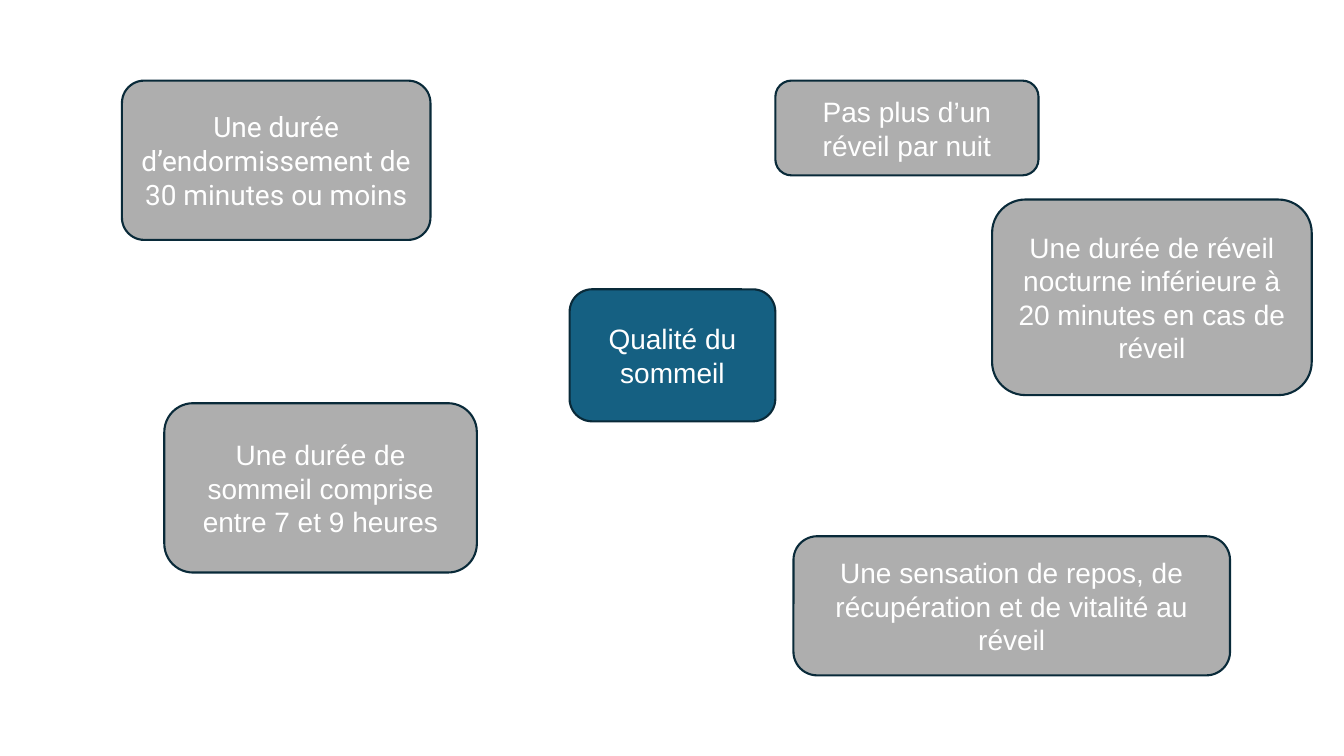
import dataclasses

import pptx
import pptx.dml.color
import pptx.enum.shapes
import pptx.enum.text
import pptx.slide
import pptx.util

EMU_PER_PX = 9144
WHITE = pptx.dml.color.RGBColor(0xFF, 0xFF, 0xFF)
BLUE = pptx.dml.color.RGBColor(0x15, 0x60, 0x82)
GREY = pptx.dml.color.RGBColor(0xAE, 0xAE, 0xAE)
NAVY = pptx.dml.color.RGBColor(0x09, 0x2A, 0x39)


@dataclasses.dataclass(frozen=True)
class Bubble:
    text: str
    left: int
    top: int
    width: int
    height: int
    fill: pptx.dml.color.RGBColor = GREY
    font: str = "Arial"
    corner: float = 0.17


BUBBLES = [
    Bubble("Qualité du sommeil", 565, 287, 204, 131, fill=BLUE),
    Bubble("Une durée d’endormissement de 30 minutes ou moins",
           121, 80, 306, 158, font="Roboto", corner=0.14),
    Bubble("Une durée de sommeil comprise entre 7 et 9 heures",
           163, 400, 310, 168),
    Bubble("Pas plus d’un réveil par nuit", 769, 80, 261, 94),
    Bubble("Une durée de réveil nocturne inférieure à 20 minutes en cas de réveil",
           984, 198, 317, 194),
    Bubble("Une sensation de repos, de récupération et de vitalité au réveil",
           787, 532, 433, 138),
]


def px(n: int) -> pptx.util.Emu:
    return pptx.util.Emu(n * EMU_PER_PX)


def draw_bubble(slide: pptx.slide.Slide, bubble: Bubble) -> None:
    sp = slide.shapes.add_shape(
        pptx.enum.shapes.MSO_SHAPE.ROUNDED_RECTANGLE,
        px(bubble.left), px(bubble.top), px(bubble.width), px(bubble.height))
    sp.adjustments[0] = bubble.corner
    sp.shadow.inherit = False
    sp.fill.solid()
    sp.fill.fore_color.rgb = bubble.fill
    sp.line.color.rgb = NAVY
    sp.line.width = pptx.util.Pt(1.5)
    tf = sp.text_frame
    tf.word_wrap = True
    tf.vertical_anchor = pptx.enum.text.MSO_ANCHOR.MIDDLE
    p = tf.paragraphs[0]
    p.alignment = pptx.enum.text.PP_ALIGN.CENTER
    r = p.add_run()
    r.text = bubble.text
    r.font.color.rgb = WHITE
    for name, value in {"name": bubble.font, "size": pptx.util.Pt(20)}.items():
        setattr(r.font, name, value)


def main() -> None:
    prs = pptx.Presentation()
    prs.slide_width, prs.slide_height = px(1333), px(750)
    slide = prs.slides.add_slide(prs.slide_layouts.get_by_name("Blank"))
    for bubble in BUBBLES:
        draw_bubble(slide, bubble)
    prs.save("out.pptx")


if __name__ == "__main__":
    main()
